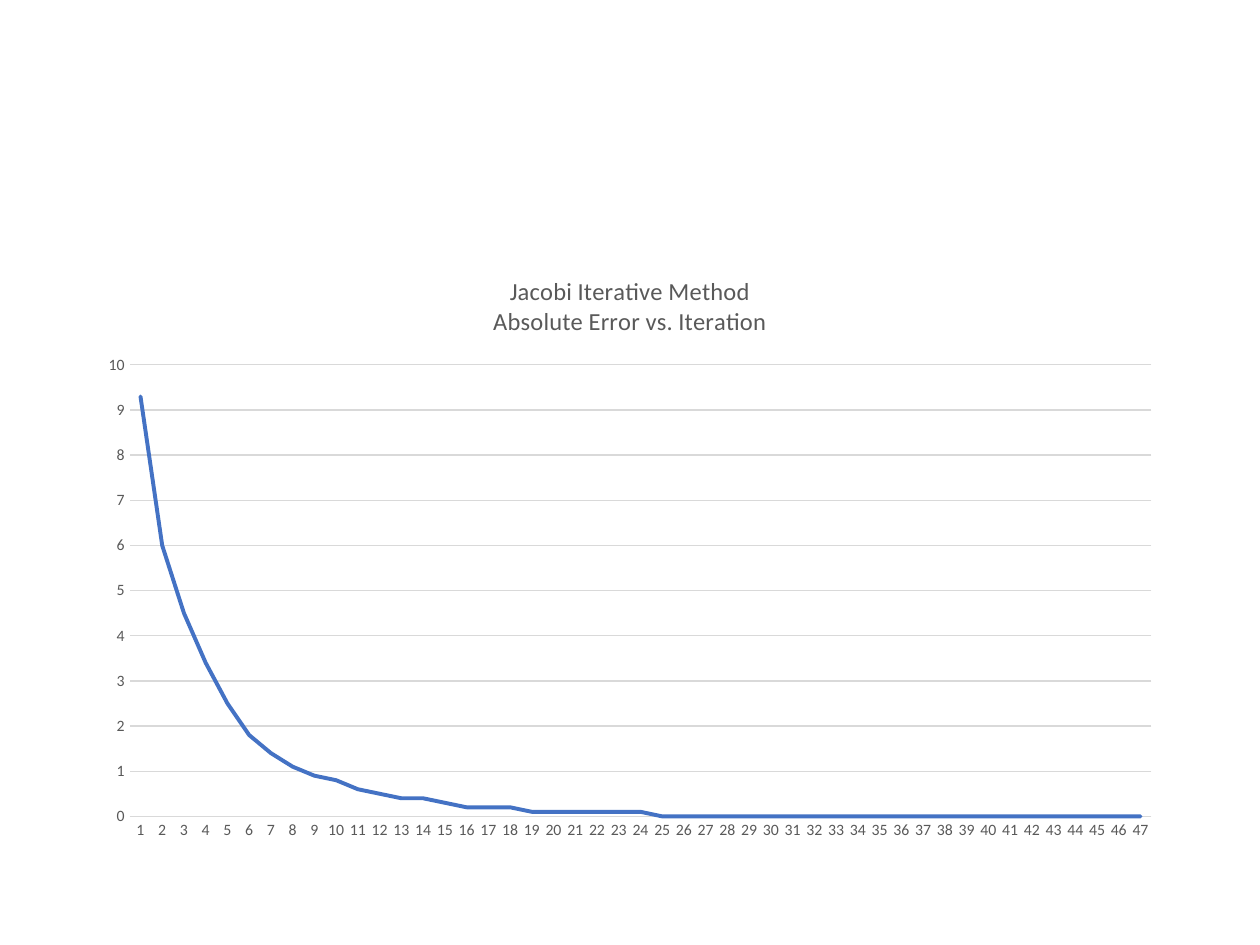
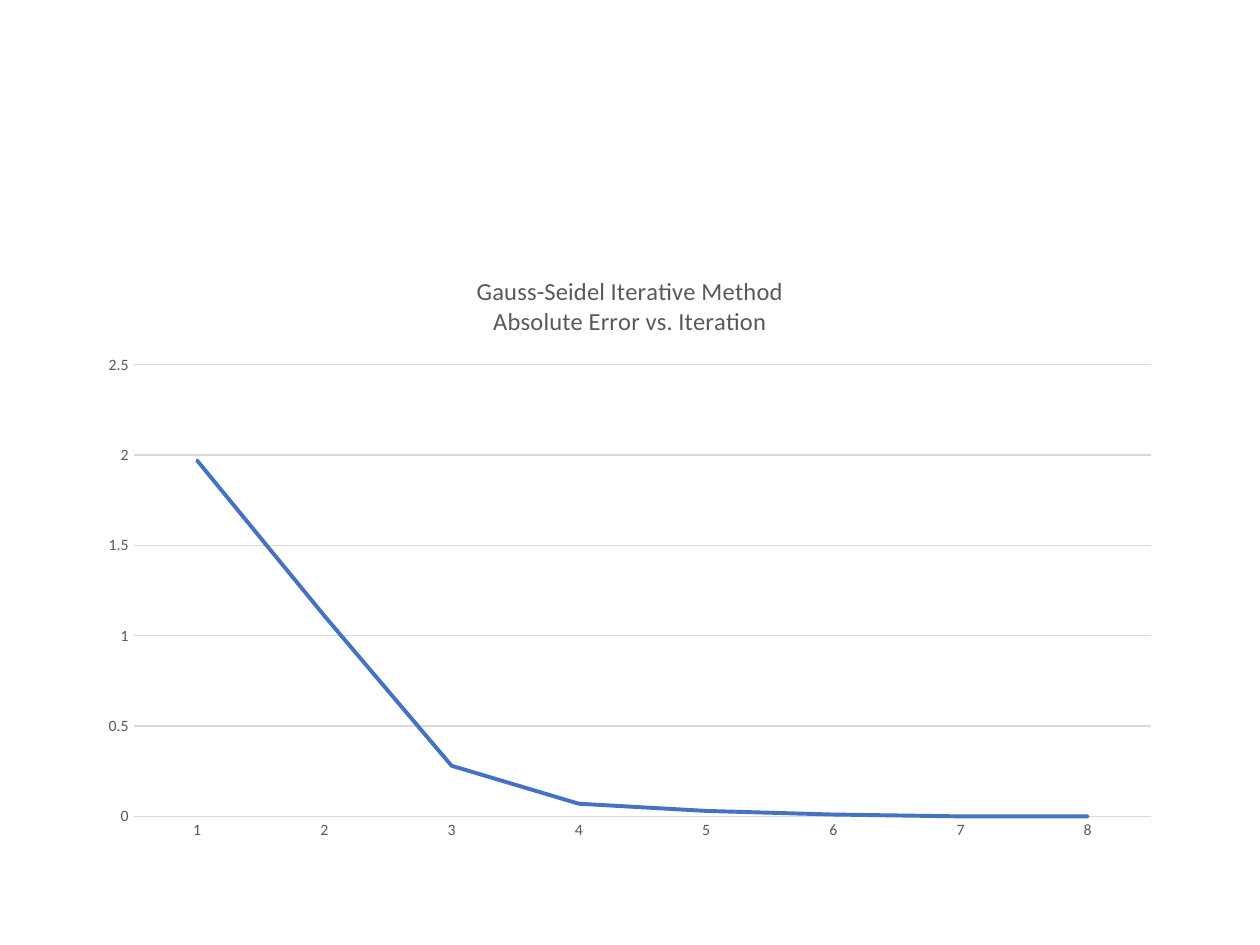
"""Build two line-chart slides on the error of iterative solvers."""
from dataclasses import dataclass

from pptx import Presentation
from pptx.chart.data import CategoryChartData
from pptx.dml.color import RGBColor as RGB
from pptx.enum.chart import XL_CHART_TYPE as CT, XL_TICK_MARK as TM
from pptx.util import Inches, Pt


@dataclass(frozen=True)
class Theme:
    font: str = "Calibri"
    text: RGB = RGB(0x59, 0x59, 0x59)
    grid: RGB = RGB(0xD9, 0xD9, 0xD9)
    curve: RGB = RGB(0x44, 0x72, 0xC4)
    title_size: Pt = Pt(14)
    label_size: Pt = Pt(9)
    base_size: Pt = Pt(10)
    grid_width: Pt = Pt(0.75)
    curve_width: Pt = Pt(2.25)


T = Theme()


def set_font(font, size):
    for name, value in {"name": T.font, "size": size, "bold": False}.items():
        setattr(font, name, value)
    font.color.rgb = T.text


def set_line(line, color, width):
    line.color.rgb = color
    line.width = width


jacobi_errors = [9.3, 6, 4.5, 3.4, 2.5, 1.8, 1.4, 1.1, 0.9, 0.8, 0.6, 0.5,
                 0.4, 0.4, 0.3] + [0.2] * 3 + [0.1] * 6 + [0] * 23
seidel_errors = [1.97, 1.11, 0.28, 0.07, 0.03, 0.01, 0, 0]
methods = [
    ("Jacobi", jacobi_errors, 10, 1),
    ("Gauss-Seidel", seidel_errors, 2.5, 0.5),
]

prs = Presentation()
prs.slide_width, prs.slide_height = Inches(10), Inches(7.5)

for method, errors, top, step in methods:
    slide = prs.slides.add_slide(prs.slide_layouts[6])
    data = CategoryChartData()
    data.categories = [str(i) for i in range(1, len(errors) + 1)]
    data.add_series("Series 1", errors)
    chart = slide.shapes.add_chart(
        CT.LINE, Inches(0.69), Inches(2), Inches(8.62), Inches(4.76), data).chart
    chart.has_legend = False
    chart.font.name, chart.font.size = T.font, T.base_size

    tf = chart.chart_title.text_frame
    tf.text = f"{method} Iterative Method\nAbsolute Error vs. Iteration"
    for p in tf.paragraphs:
        set_font(p.font, T.title_size)
        for r in p.runs:
            set_font(r.font, T.title_size)
    chart.chart_title.include_in_layout = False

    x_axis, y_axis = chart.category_axis, chart.value_axis
    for axis in (x_axis, y_axis):
        axis.major_tick_mark = axis.minor_tick_mark = TM.NONE
        set_font(axis.tick_labels.font, T.label_size)
    set_line(x_axis.format.line, T.grid, T.grid_width)
    y_axis.format.line.fill.background()
    set_line(y_axis.major_gridlines.format.line, T.grid, T.grid_width)
    scale = {"minimum_scale": 0, "maximum_scale": top, "major_unit": step}
    for name, value in scale.items():
        setattr(y_axis, name, value)

    plot = chart.plots[0]
    plot.vary_by_categories = False
    s = plot.series[0]
    s.smooth = False
    set_line(s.format.line, T.curve, T.curve_width)
    s._element.xpath("c:spPr/a:ln")[0].set("cap", "rnd")

prs.save("out.pptx")
